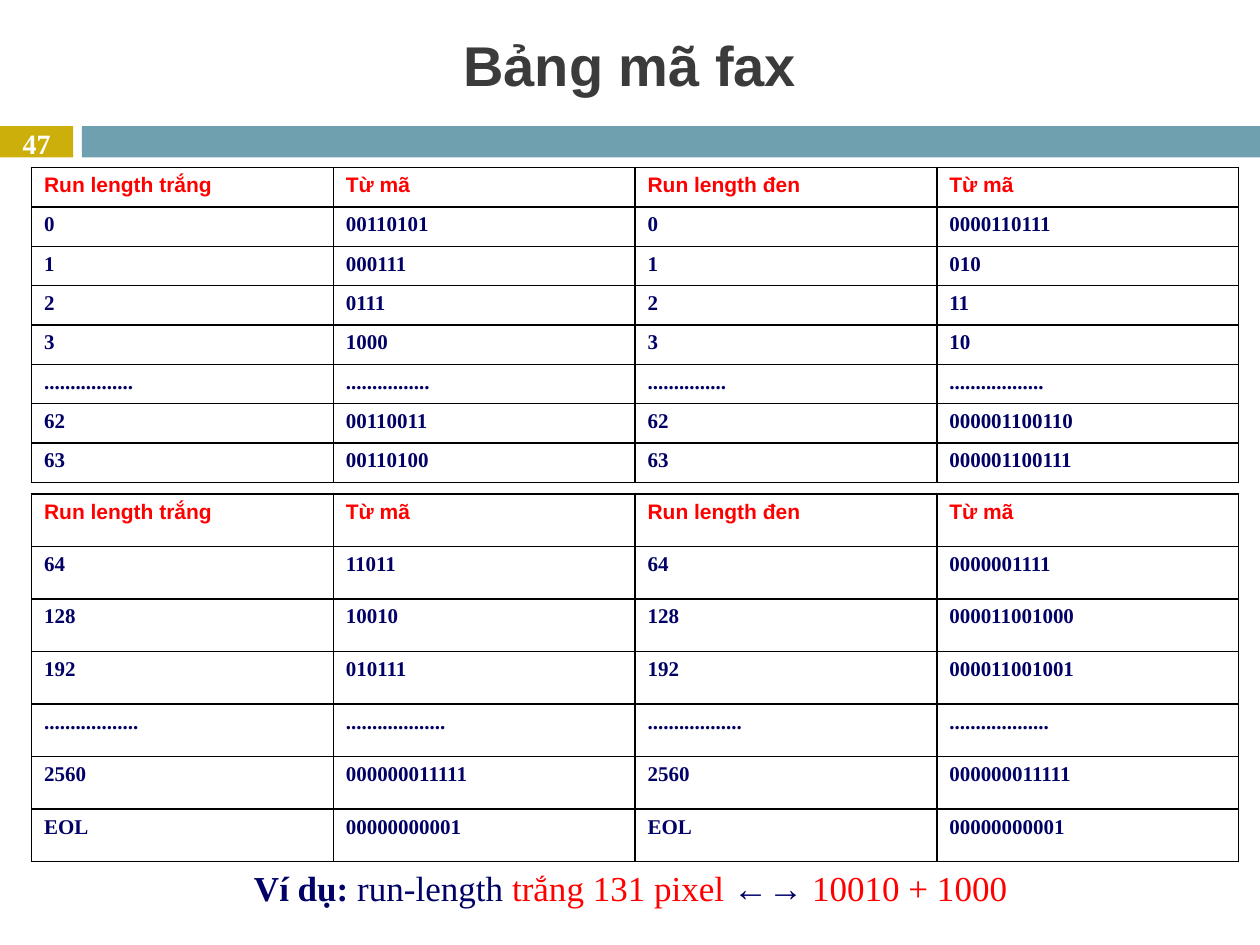
from lxml.etree import SubElement
from pptx import Presentation
from pptx.dml.color import RGBColor
from pptx.enum.shapes import MSO_SHAPE
from pptx.enum.text import MSO_ANCHOR, PP_ALIGN
from pptx.oxml.ns import qn
from pptx.util import Inches, Pt

GOLD = RGBColor(0xCC, 0xAF, 0x0A)
TEAL = RGBColor(0x6E, 0xA0, 0xB0)
CHARCOAL = RGBColor(0x3B, 0x3B, 0x3B)
RED = RGBColor(0xFF, 0x00, 0x00)
NAVY = RGBColor(0x00, 0x00, 0x66)
BLACK = RGBColor(0x00, 0x00, 0x00)
WHITE = RGBColor(0xFF, 0xFF, 0xFF)
SANS, SERIF = "Arial", "Times New Roman"

TITLE = "Bảng mã fax"
PAGE = "47"
HEADINGS = ("Run length trắng", "Từ mã", "Run length đen", "Từ mã")
TERMINATING_CODES = [
    ("0", "00110101", "0", "0000110111"),
    ("1", "000111", "1", "010"),
    ("2", "0111", "2", "11"),
    ("3", "1000", "3", "10"),
    (".................", "................", "...............", ".................."),
    ("62", "00110011", "62", "000001100110"),
    ("63", "00110100", "63", "000001100111"),
]
MAKEUP_CODES = [
    ("64", "11011", "64", "0000001111"),
    ("128", "10010", "128", "000011001000"),
    ("192", "010111", "192", "000011001001"),
    ("..................", "...................", "..................", "..................."),
    ("2560", "000000011111", "2560", "000000011111"),
    ("EOL", "00000000001", "EOL", "00000000001"),
]
EXAMPLE = [
    ("Ví dụ:", NAVY, True),
    (" run-length ", NAVY, False),
    ("trắng 131 pixel ", RED, False),
    ("←→ ", NAVY, False),
    ("10010 + 1000", RED, False),
]
BARS = [(0, 0.58, GOLD), (0.65, 9.35, TEAL)]
CODE_TABLES = [(3.92, 2.92, MAKEUP_CODES), (1.33, 2.5, TERMINATING_CODES)]
TABLE_LEFT, TABLE_WIDTH = 0.25, 9.58


def add_run(paragraph, text, size, font, color, bold=True):
    run = paragraph.add_run()
    run.text = text
    run.font.size = Pt(size)
    run.font.name = font
    run.font.bold = bold
    run.font.color.rgb = color


def add_centred_text(slide, box, anchor, size, font, runs, margin=0.1):
    frame = slide.shapes.add_textbox(*map(Inches, box)).text_frame
    frame.word_wrap = True
    frame.vertical_anchor = anchor
    frame.margin_left = frame.margin_right = Inches(margin)
    paragraph = frame.paragraphs[0]
    paragraph.alignment = PP_ALIGN.CENTER
    for text, color, bold in runs:
        add_run(paragraph, text, size, font, color, bold)


def add_borders(cell):
    properties = cell._tc.get_or_add_tcPr()
    for side in ("a:lnL", "a:lnR", "a:lnT", "a:lnB"):
        line = SubElement(properties, qn(side), w=str(Pt(1)))
        fill = SubElement(line, qn("a:solidFill"))
        SubElement(fill, qn("a:srgbClr"), val=str(BLACK))


def fill_cell(cell, text, font, color):
    add_borders(cell)
    cell.fill.background()
    paragraph = cell.text_frame.paragraphs[0]
    properties = paragraph._p.get_or_add_pPr()
    properties.set("marL", str(Inches(0.38)))
    properties.set("indent", str(Inches(-0.38)))
    tabs = SubElement(properties, qn("a:tabLst"))
    SubElement(tabs, qn("a:tab"), pos=str(Inches(0.25)), algn="l")
    add_run(paragraph, text, 12, font, color)


def add_code_table(slide, top, height, codes):
    rows = [HEADINGS, *codes]
    table = slide.shapes.add_table(
        len(rows), len(HEADINGS),
        Inches(TABLE_LEFT), Inches(top), Inches(TABLE_WIDTH), Inches(height),
    ).table
    table.first_row = table.horz_banding = False
    for r, row in enumerate(rows):
        font, color = (SERIF, NAVY) if r else (SANS, RED)
        for c, text in enumerate(row):
            fill_cell(table.cell(r, c), text, font, color)


def main():
    deck = Presentation()
    deck.slide_width, deck.slide_height = Inches(10), Inches(7.5)
    slide = deck.slides.add_slide(deck.slide_layouts[6])

    for left, width, color in BARS:
        bar = slide.shapes.add_shape(
            MSO_SHAPE.RECTANGLE, Inches(left), Inches(1), Inches(width), Inches(0.25)
        )
        bar.shadow.inherit = False
        bar.fill.solid()
        bar.fill.fore_color.rgb = color
        bar.line.fill.background()

    add_centred_text(slide, (0, 0.1, 10, 0.82), MSO_ANCHOR.MIDDLE, 32, SANS,
                     [(TITLE, CHARCOAL, True)])
    for top, height, codes in CODE_TABLES:
        add_code_table(slide, top, height, codes)
    add_centred_text(slide, (0.17, 6.83, 9.67, 0.44), MSO_ANCHOR.TOP, 20, SERIF, EXAMPLE)
    add_centred_text(slide, (0, 1, 0.58, 0.27), MSO_ANCHOR.MIDDLE, 16, SERIF,
                     [(PAGE, WHITE, True)], margin=0)

    deck.save("out.pptx")


if __name__ == "__main__":
    main()
